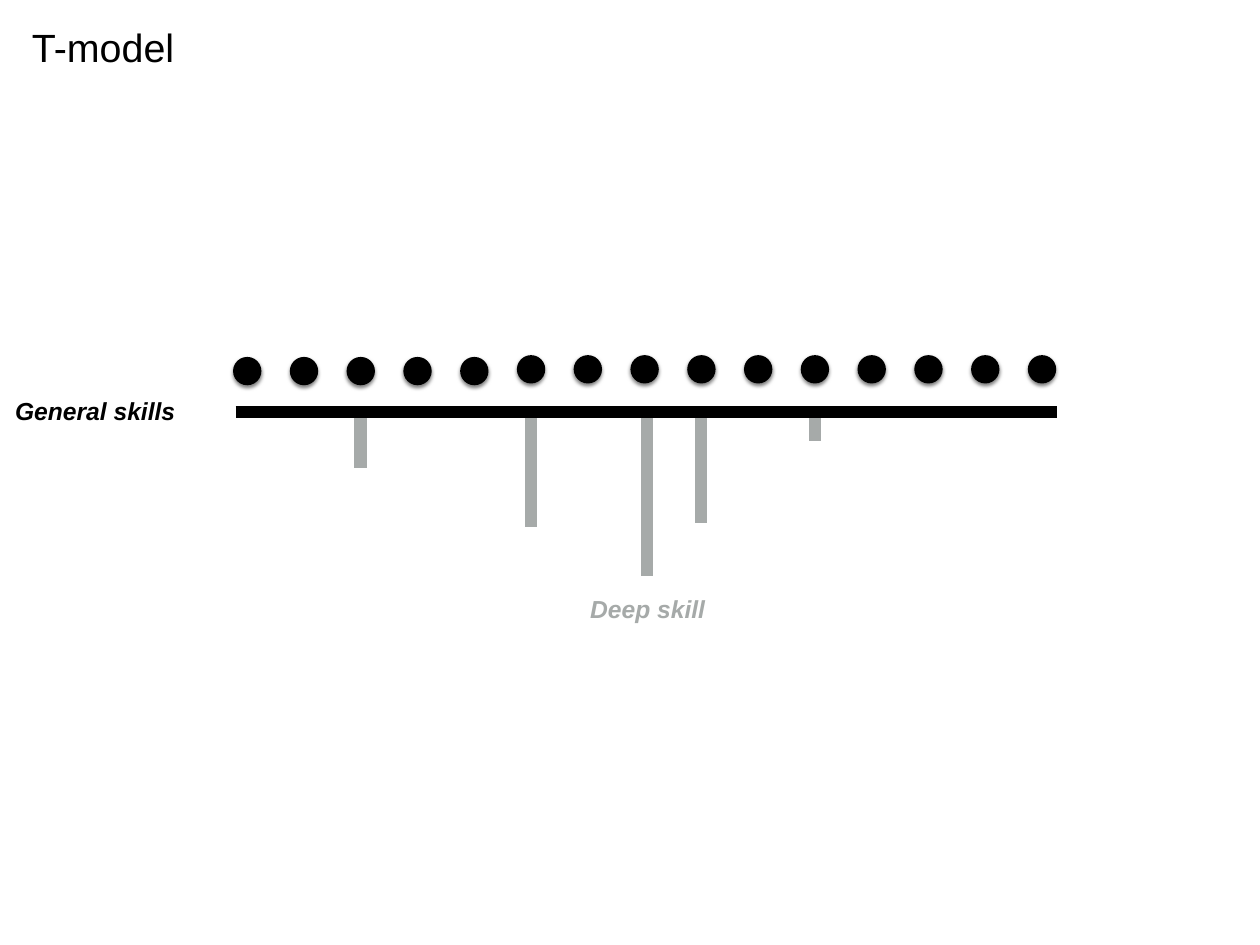
"""Build the T-model slide: a row of general skills with deep skills below."""
from typing import Any, NamedTuple

from lxml import etree
from pptx import Presentation
from pptx import util as u
from pptx.dml.color import RGBColor
from pptx.enum import shapes, text
from pptx.oxml.ns import qn

BLACK = RGBColor(0x00, 0x00, 0x00)
GREY = RGBColor(0xA6, 0xAA, 0xA9)

DOTS = 15
LOW_DOTS = 5
FIRST = 2.63
STEP = (11.6 - FIRST) / (DOTS - 1)
SIZE = 0.32


class Stroke(NamedTuple):
    x1: float
    y1: float
    x2: float
    y2: float
    color: RGBColor = GREY


class Label(NamedTuple):
    words: str
    left: float
    top: float
    color: RGBColor


DEPTHS = [
    Stroke(7.3, 4.66, 7.3, 6.5),
    Stroke(7.91, 4.66, 7.91, 5.9),
    Stroke(9.2, 4.66, 9.2, 4.98),
    Stroke(5.99, 4.72, 5.99, 5.95),
    Stroke(4.07, 4.72, 4.07, 5.29),
]
BREADTH = Stroke(2.66, 4.65, 11.93, 4.65, BLACK)
LABELS = [
    Label("General skills", 0.11, 4.41, BLACK),
    Label("Deep skill", 6.6, 6.65, GREY),
]


def write(box: Any, words: str, *, size: float, color: RGBColor,
          strong: bool = False) -> None:
    frame = box.text_frame
    frame.word_wrap = True
    frame.auto_size = text.MSO_AUTO_SIZE.NONE
    frame.vertical_anchor = text.MSO_ANCHOR.TOP
    frame.margin_left = frame.margin_right = u.Inches(0.06)
    frame.margin_top = frame.margin_bottom = u.Inches(0.06)
    para = frame.paragraphs[0]
    para.alignment = text.PP_ALIGN.LEFT
    run = para.add_run()
    run.text = words
    font = run.font
    font.name = "Arial"
    font.size = u.Pt(size)
    font.bold = font.italic = strong
    font.color.rgb = color


def draw_stroke(slide: Any, stroke: Stroke) -> None:
    ends = [u.Inches(n) for n in stroke[:4]]
    line = slide.shapes.add_connector(shapes.MSO_CONNECTOR.STRAIGHT, *ends)
    line.line.color.rgb = stroke.color
    line.line.width = u.Pt(10)
    etree.SubElement(line._element.spPr, qn("a:effectLst"))


def draw_dot(slide: Any, left: float, top: float) -> None:
    dot = slide.shapes.add_shape(
        shapes.MSO_SHAPE.OVAL, u.Inches(left), u.Inches(top),
        u.Inches(SIZE), u.Inches(SIZE))
    dot.fill.solid()
    dot.fill.fore_color.rgb = BLACK
    dot.line.fill.background()
    dot.shadow.inherit = False
    effects = dot._element.spPr.find(qn("a:effectLst"))
    shade = etree.SubElement(
        effects, qn("a:outerShdw"), blurRad=str(u.Pt(3)),
        dist=str(u.Pt(2)), dir="5400000", rotWithShape="0")
    tint = etree.SubElement(shade, qn("a:srgbClr"), val=str(BLACK))
    etree.SubElement(tint, qn("a:alpha"), val="50000")


def draw_label(slide: Any, label: Label) -> None:
    box = slide.shapes.add_textbox(
        u.Inches(label.left), u.Inches(label.top),
        u.Inches(5.35), u.Inches(1.85))
    write(box, label.words, size=20, color=label.color, strong=True)


def main() -> None:
    deck = Presentation()
    deck.slide_width = u.Inches(14.22)
    deck.slide_height = u.Inches(10.67)
    slide = deck.slides.add_slide(deck.slide_layouts[5])

    title = slide.shapes.title
    title.left, title.top = u.Inches(0.3), u.Inches(0.2)
    title.width, title.height = u.Inches(11.44), u.Inches(1.24)
    write(title, "T-model", size=32, color=BLACK)

    for label in LABELS:
        draw_label(slide, label)
    for i in range(DOTS):
        draw_dot(slide, FIRST + i * STEP, 4.03 if i < LOW_DOTS else 4.01)
    for stroke in [*DEPTHS, BREADTH]:
        draw_stroke(slide, stroke)

    deck.save("out.pptx")


if __name__ == "__main__":
    main()
